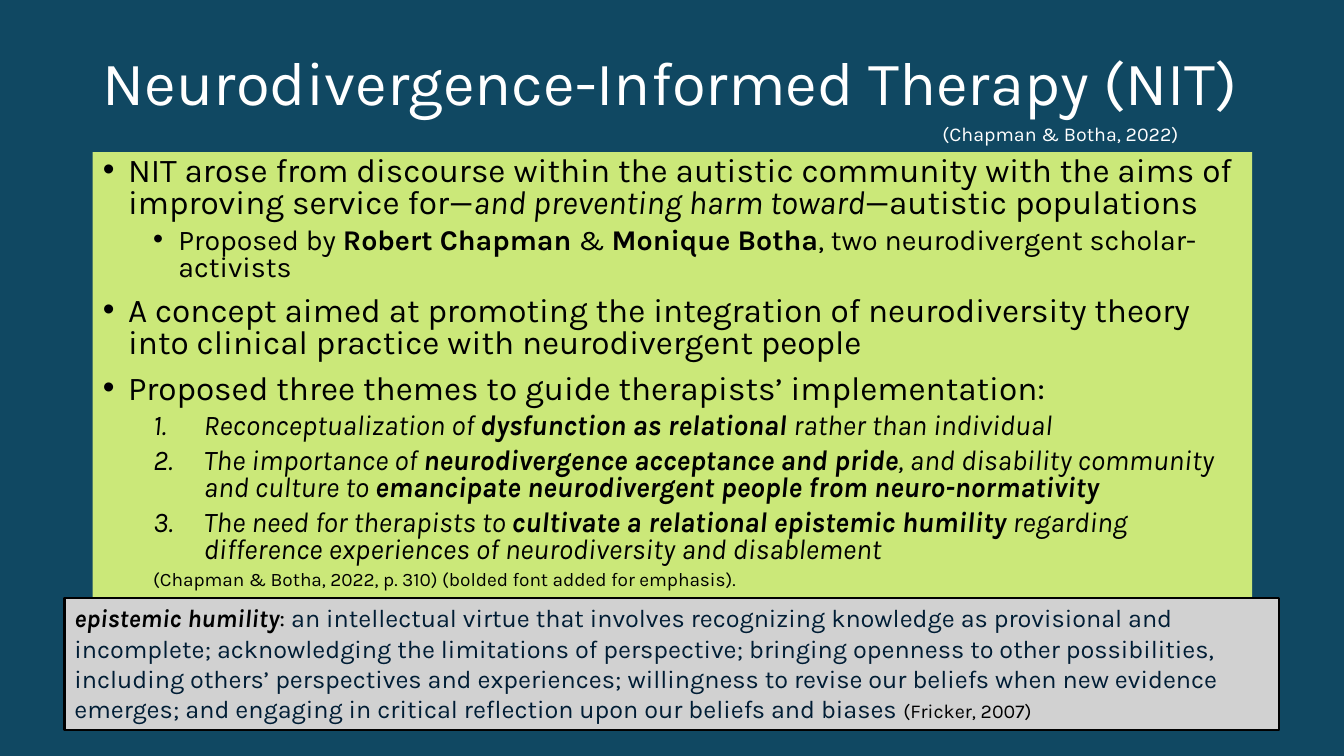
from dataclasses import dataclass

from lxml import etree
from pptx import Presentation
from pptx import util as u
from pptx.dml.color import RGBColor
from pptx.enum import text
from pptx.oxml.ns import qn


@dataclass(frozen=True)
class Theme:
    font: str = "Karla"
    navy: str = "104862"
    lime: str = "CBE879"
    grey: str = "D1D1D1"
    white: str = "FFFFFF"
    black: str = "000000"
    ink: str = "001D35"
    title: float = 44
    point: float = 23.8
    subpoint: float = 20.4
    source: float = 13.6
    definition: float = 18
    citation: float = 14


@dataclass(frozen=True)
class ListStyle:
    size: float
    level: int
    margin: float
    hanging: float
    before: float
    marker: str = ""


THEME = Theme()
POINT = ListStyle(THEME.point, 0, 0.25, 0.25, 10, "bullet")
SUBPOINT = ListStyle(THEME.subpoint, 1, 0.75, 0.25, 5, "bullet")
THEME_ITEM = ListStyle(THEME.subpoint, 1, 1, 0.5, 5, "number")
SOURCE = ListStyle(THEME.source, 1, 0.5, 0, 5)

# Each span is its wording, then optionally "b" and "i" for bold and italic.
POINTS = [
    (POINT, [("NIT arose from discourse within the autistic community with the aims "
              "of improving service for—",),
             ("and preventing harm toward", "i"), ("—autistic populations",)]),
    (SUBPOINT, [("Proposed by ",), ("Robert Chapman ", "b"), ("& ",),
                ("Monique Botha", "b"), (", two neurodivergent scholar-activists",)]),
    (POINT, [("A concept aimed at promoting the integration of neurodiversity theory "
              "into clinical practice with neurodivergent people",)]),
    (POINT, [("Proposed three themes to guide therapists’ implementation:",)]),
    (THEME_ITEM, [("Reconceptualization of ", "i"), ("dysfunction as relational ", "bi"),
                  ("rather than individual", "i")]),
    (THEME_ITEM, [("The importance of ", "i"),
                  ("neurodivergence acceptance and pride", "bi"),
                  (", and disability community and culture to ", "i"),
                  ("emancipate neurodivergent people from neuro-normativity", "bi")]),
    (THEME_ITEM, [("The need for therapists to ", "i"),
                  ("cultivate a relational epistemic humility ", "bi"),
                  ("regarding difference experiences of neurodiversity and disablement",
                   "i")]),
    (SOURCE, [("(Chapman & Botha, 2022, p. 310) (bolded font added for emphasis).",)]),
]


class SlideBuilder:
    def __init__(self, deck, theme):
        self.deck, self.theme = deck, theme
        self.page = deck.slides.add_slide(deck.slide_layouts[1])
        self.paint(self.page.background.fill, theme.navy)

    def paint(self, fill, color):
        fill.solid()
        fill.fore_color.rgb = RGBColor.from_string(color)

    def area(self, left, top, width, height):
        """Turn percentages of the slide's size into lengths."""
        wide, high = self.deck.slide_width, self.deck.slide_height
        return [int(share * side / 100) for share, side in
                zip((left, top, width, height), (wide, high, wide, high))]

    def place(self, box, area):
        box.left, box.top, box.width, box.height = self.area(*area)

    def style(self, span, size, color, marks=""):
        font = span.font
        font.name, font.size = self.theme.font, u.Pt(size)
        font.bold, font.italic = "b" in marks, "i" in marks
        font.color.rgb = RGBColor.from_string(color)

    def add_span(self, para, wording, size, color, marks=""):
        span = para.add_run()
        span.text = wording
        self.style(span, size, color, marks)

    def mark(self, para, style):
        """Set the indent and the bullet or number of a list paragraph."""
        props = para._p.get_or_add_pPr()
        props.set("marL", str(u.Inches(style.margin)))
        props.set("indent", str(-u.Inches(style.hanging)))
        if style.marker == "bullet":
            etree.SubElement(props, qn("a:buFont"), typeface="Arial")
            etree.SubElement(props, qn("a:buChar"), char="•")
        elif style.marker == "number":
            etree.SubElement(props, qn("a:buFont"), typeface="+mj-lt")
            etree.SubElement(props, qn("a:buAutoNum"), type="arabicPeriod")
        else:
            etree.SubElement(props, qn("a:buNone"))

    def title(self, wording, area):
        box = self.page.shapes.title
        self.place(box, area)
        frame = box.text_frame
        frame.text = wording
        frame.auto_size = text.MSO_AUTO_SIZE.NONE
        frame.vertical_anchor = text.MSO_ANCHOR.MIDDLE
        para = frame.paragraphs[0]
        para.alignment, para.line_spacing = text.PP_ALIGN.LEFT, 0.9
        self.style(para.runs[0], self.theme.title, self.theme.white)

    def body(self, points, area):
        box = self.page.placeholders[1]
        self.place(box, area)
        self.paint(box.fill, self.theme.lime)
        frame = box.text_frame
        frame.auto_size = text.MSO_AUTO_SIZE.NONE
        for index, (style, spans) in enumerate(points):
            para = frame.add_paragraph() if index else frame.paragraphs[0]
            para.level, para.line_spacing = style.level, 0.8
            para.space_before = u.Pt(style.before)
            self.mark(para, style)
            for wording, *marks in spans:
                self.add_span(para, wording, style.size, self.theme.black, "".join(marks))

    def text_box(self, spans, area, fill=None, line=None):
        box = self.page.shapes.add_textbox(*self.area(*area))
        if fill:
            self.paint(box.fill, fill)
        if line:
            self.paint(box.line.fill, line)
            box.line.width = u.Pt(1.5)
        frame = box.text_frame
        frame.word_wrap = True
        frame.auto_size = text.MSO_AUTO_SIZE.SHAPE_TO_FIT_TEXT
        for span in spans:
            self.add_span(frame.paragraphs[0], *span)


def main():
    deck = Presentation()
    deck.slide_width, deck.slide_height = u.Inches(13.33), u.Inches(7.5)
    slide = SlideBuilder(deck, THEME)
    slide.title("Neurodivergence-Informed Therapy (NIT)", (6.9, 1.6, 86.27, 19.33))
    slide.body(POINTS, (6.9, 20.13, 86.27, 60.67))
    slide.text_box([
        ("epistemic humility", THEME.definition, THEME.black, "bi"),
        (": ", THEME.definition, THEME.black),
        ("an intellectual virtue that involves recognizing knowledge as provisional and "
         "incomplete; acknowledging the limitations of perspective; bringing openness to "
         "other possibilities, including others’ perspectives and experiences; willingness "
         "to revise our beliefs when new evidence emerges; and engaging in critical "
         "reflection upon our beliefs and biases ", THEME.definition, THEME.ink),
        ("(Fricker, 2007)", THEME.citation, THEME.black),
    ], (4.8, 79.07, 90.4, 17.47), THEME.grey, THEME.black)
    slide.text_box([("(Chapman & Botha, 2022)", THEME.citation, THEME.white)],
                   (69.39, 15.47, 28.88, 4.53))
    deck.save("out.pptx")


if __name__ == "__main__":
    main()
